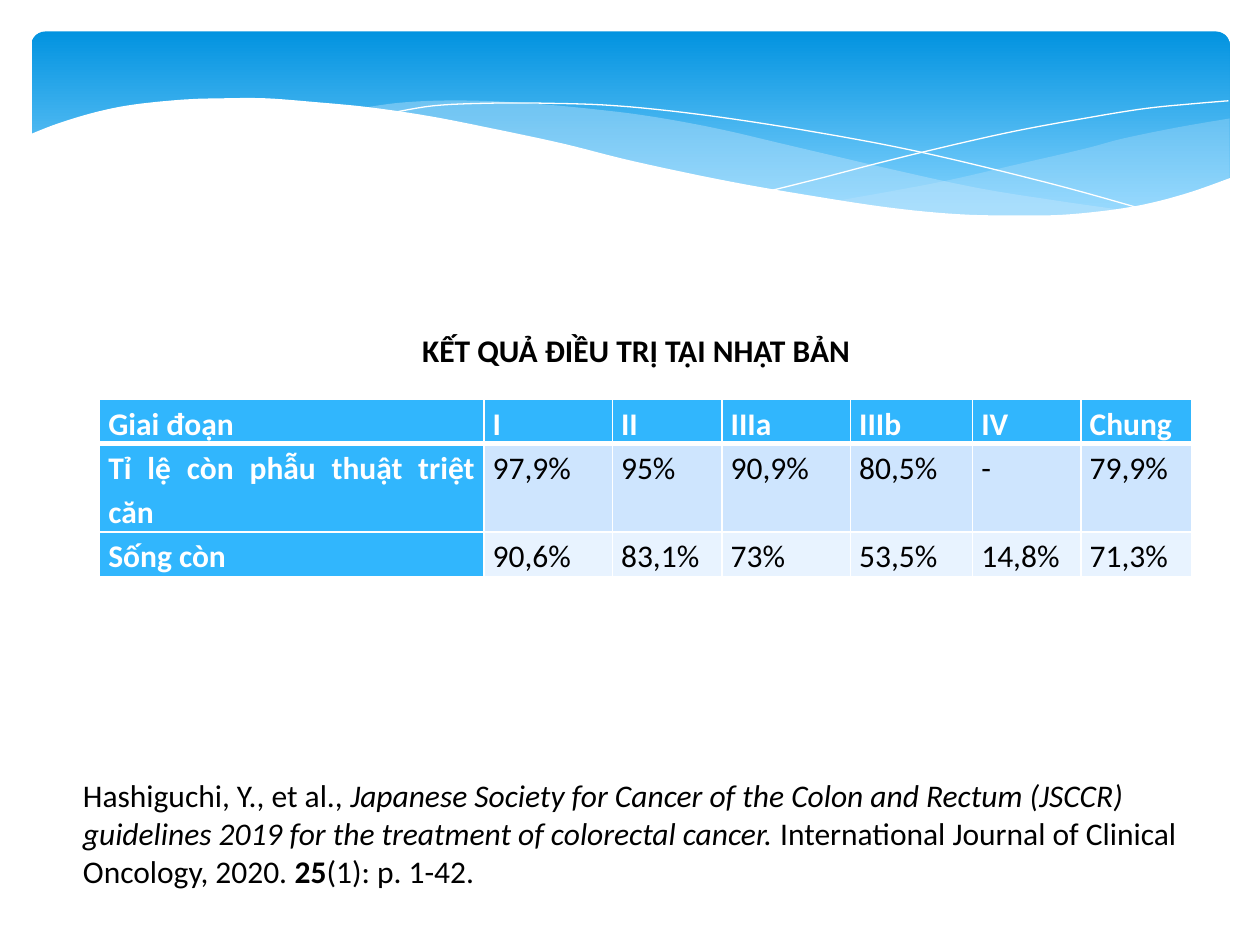
from dataclasses import dataclass
from typing import Optional

from lxml.etree import SubElement
from pptx import Presentation
from pptx.dml.color import RGBColor
from pptx.enum.shapes import MSO_SHAPE as Shape
from pptx.enum.text import MSO_ANCHOR as Anchor, PP_ALIGN as Align
from pptx.oxml.ns import qn
from pptx.util import Inches, Pt

FONT = "Calibri"
SIZE = Pt(18)
COLORS = {
    "sky": "0293E0", "pale_sky": "83D3FE", "mist": "C6E7FC", "white": "FFFFFF",
    "black": "000000", "accent": "31B6FD", "band_dark": "CEE5FE", "band_light": "E8F3FF",
}
Points = list[tuple[float, float]]


@dataclass
class Wave:
    """Smooth curves joined by straight edges; without a fill it is an open line."""
    curves: list[Points]
    fill: Optional[str] = None
    opacity: int = 100


WAVES = [
    Wave([[(9.76, 0.94), (9.35, 1.01), (8.91, 1.1), (8.61, 1.18), (8.05, 1.31),
           (7.53, 1.43), (7.06, 1.52), (6.61, 1.6)],
          [(6.61, 1.6), (7.05, 1.65), (7.45, 1.69), (7.81, 1.72), (8.24, 1.72),
           (8.63, 1.7), (9.05, 1.63), (9.42, 1.54), (9.76, 1.41)]], "mist", 29),
    Wave([[(8.93, 1.67), (8.37, 1.59), (7.75, 1.49), (7.06, 1.34), (6.29, 1.16),
           (5.69, 1.02), (5.14, 0.92), (4.65, 0.86), (4.2, 0.82), (3.8, 0.8),
           (3.44, 0.8), (3.13, 0.82), (2.86, 0.86)],
          [(2.86, 0.86), (3.42, 0.94), (4.04, 1.06), (4.49, 1.16), (5.3, 1.35),
           (6.01, 1.5), (6.65, 1.61), (7.22, 1.68), (7.73, 1.72), (8.18, 1.73),
           (8.57, 1.71), (8.93, 1.67)]], "mist", 40),
    Wave([[(3.09, 0.9), (3.44, 0.84), (3.87, 0.82), (4.33, 0.82), (4.89, 0.84),
           (5.56, 0.91), (6.36, 1.03), (7.27, 1.2), (8.31, 1.45), (9.07, 1.66)]]),
    Wave([[(6.13, 1.51), (6.53, 1.41), (6.95, 1.3), (7.48, 1.17), (8.06, 1.04),
           (8.66, 0.93), (9.1, 0.86), (9.51, 0.82), (9.75, 0.8)]]),
    Wave([[(9.77, 1.41), (9.4, 1.54), (8.99, 1.64), (8.5, 1.7), (8.09, 1.71),
           (7.61, 1.7), (7.08, 1.65), (6.48, 1.56), (5.79, 1.44), (5.03, 1.28),
           (4.47, 1.14), (3.91, 1.02), (3.4, 0.92), (2.92, 0.85), (2.5, 0.81),
           (2.11, 0.78), (1.77, 0.78), (1.46, 0.79), (1.06, 0.83), (0.76, 0.89),
           (0.46, 0.98), (0.23, 1.07)],
          [(0.23, 2.24), (9.77, 2.24)]], "white"),
]

COLUMN_WIDTHS = [3.05, 1.02, 0.87, 1.02, 0.97, 0.86, 0.88]
ROW_HEIGHTS = [0.32, 0.66, 0.33]
ROW_FILLS = ["accent", "band_dark", "band_light"]
RESULTS = [
    ["Giai đoạn", "I", "II", "IIIa", "IIIb", "IV", "Chung"],
    ["Tỉ lệ còn phẫu thuật triệt căn", "97,9%", "95%", "90,9%", "80,5%", "-", "79,9%"],
    ["Sống còn", "90,6%", "83,1%", "73%", "53,5%", "14,8%", "71,3%"],
]
CITATION = [
    ("Hashiguchi, Y., et al., ", ""),
    ("Japanese Society for Cancer of the Colon and Rectum (JSCCR) guidelines 2019 "
     "for the treatment of colorectal cancer.", "italic"),
    (" International Journal of Clinical Oncology, 2020. ", ""),
    ("25", "bold"),
    ("(1): p. 1-42.", ""),
]


def rgb(name: str) -> RGBColor:
    return RGBColor.from_string(COLORS[name])


def place(s, left: float, top: float, width: float, height: float) -> None:
    s.left, s.top, s.width, s.height = map(Inches, (left, top, width, height))


def set_font(p, color: str, bold: Optional[bool] = None) -> None:
    p.font.name, p.font.size, p.font.bold = FONT, SIZE, bold
    p.font.color.rgb = rgb(color)


def smooth(points: Points, steps: int = 6) -> Points:
    """Run a Catmull-Rom spline through the points."""
    if len(points) < 3:
        return points
    padded = [points[0], *points, points[-1]]
    result = [points[0]]
    for a, b, c, d in zip(padded, padded[1:], padded[2:], padded[3:]):
        for t in (i / steps for i in range(1, steps + 1)):
            result.append(tuple(
                (2 * q + (r - p) * t + (2 * p - 5 * q + 4 * r - s) * t ** 2
                 + (3 * q - p - 3 * r + s) * t ** 3) / 2
                for p, q, r, s in zip(a, b, c, d)))
    return result


def draw_sky(shapes) -> None:
    s = shapes.add_shape(Shape.ROUNDED_RECTANGLE, 0, 0, 0, 0)
    place(s, 0.25, 0.25, 9.51, 1.56)
    s.adjustments[0] = 0.07
    s.shadow.inherit = False
    s.line.fill.background()
    s.fill.gradient()
    s.fill.gradient_angle = 270
    stops = zip(s.fill.gradient_stops, (0, 0.9), ("sky", "pale_sky"))
    for stop, position, color in stops:
        stop.position = position
        stop.color.rgb = rgb(color)


def draw_wave(shapes, wave: Wave) -> None:
    points = [(Inches(x), Inches(y)) for curve in wave.curves for x, y in smooth(curve)]
    builder = shapes.build_freeform(*points[0])
    builder.add_line_segments(points[1:], close=wave.fill is not None)
    s = builder.convert_to_shape()
    s.shadow.inherit = False
    if wave.fill is None:
        s.fill.background()
        s.line.color.rgb = rgb("white")
        s.line.width = Pt(0)
        return
    s.line.fill.background()
    s.fill.solid()
    s.fill.fore_color.rgb = rgb(wave.fill)
    if wave.opacity < 100:
        color = s.fill._xPr.find(".//" + qn("a:srgbClr"))
        SubElement(color, qn("a:alpha"), val=str(wave.opacity * 1000))


def set_borders(cell, top: int, bottom: int) -> None:
    tc_pr = cell._tc.get_or_add_tcPr()
    for side, points in (("L", 1), ("R", 1), ("T", top), ("B", bottom)):
        line = SubElement(tc_pr, qn(f"a:ln{side}"), w=str(Pt(points)))
        fill = SubElement(line, qn("a:solidFill"))
        SubElement(fill, qn("a:srgbClr"), val=COLORS["white"])


def draw_results(shapes) -> None:
    frame = shapes.add_table(len(RESULTS), len(COLUMN_WIDTHS), Inches(0.79), Inches(3.17),
                             Inches(sum(COLUMN_WIDTHS)), Inches(sum(ROW_HEIGHTS)))
    table = frame.table
    table.first_col = True
    for column, width in zip(table.columns, COLUMN_WIDTHS):
        column.width = Inches(width)
    for i, (row, height, texts) in enumerate(zip(table.rows, ROW_HEIGHTS, RESULTS)):
        row.height = Inches(height)
        for j, (cell, text) in enumerate(zip(row.cells, texts)):
            heading = i == 0 or j == 0
            set_borders(cell, top=3 if i == 1 else 1, bottom=3 if i == 0 else 1)
            cell.fill.solid()
            cell.fill.fore_color.rgb = rgb("accent" if heading else ROW_FILLS[i])
            cell.margin_left = cell.margin_right = Inches(0.07)
            cell.margin_top = cell.margin_bottom = 0
            cell.text = text
            p = cell.text_frame.paragraphs[0]
            p.alignment, p.line_spacing = Align.JUSTIFY, 1.15
            set_font(p, "white" if heading else "black", heading)


def draw_title(title) -> None:
    place(title, 3.25, 2.58, 3.92, 0.4)
    tf = title.text_frame
    tf.text = "KẾT QUẢ ĐIỀU TRỊ TẠI NHẬT BẢN"
    tf.vertical_anchor, tf.word_wrap = Anchor.TOP, True
    p = tf.paragraphs[0]
    p.alignment = Align.LEFT
    set_font(p, "black", True)


def draw_citation(shapes) -> None:
    s = shapes.add_textbox(0, 0, 0, 0)
    place(s, 0.56, 6.11, 8.92, 1.01)
    s.text_frame.word_wrap = True
    p = s.text_frame.paragraphs[0]
    set_font(p, "black")
    for text, style in CITATION:
        r = p.add_run()
        r.text = text
        if style:
            setattr(r.font, style, True)


def main() -> None:
    prs = Presentation()
    prs.slide_width, prs.slide_height = Inches(10), Inches(7.5)
    shapes = prs.slides.add_slide(prs.slide_layouts[5]).shapes
    draw_sky(shapes)
    for wave in WAVES:
        draw_wave(shapes, wave)
    draw_results(shapes)
    draw_title(shapes.title)
    draw_citation(shapes)
    prs.save("out.pptx")


if __name__ == "__main__":
    main()
